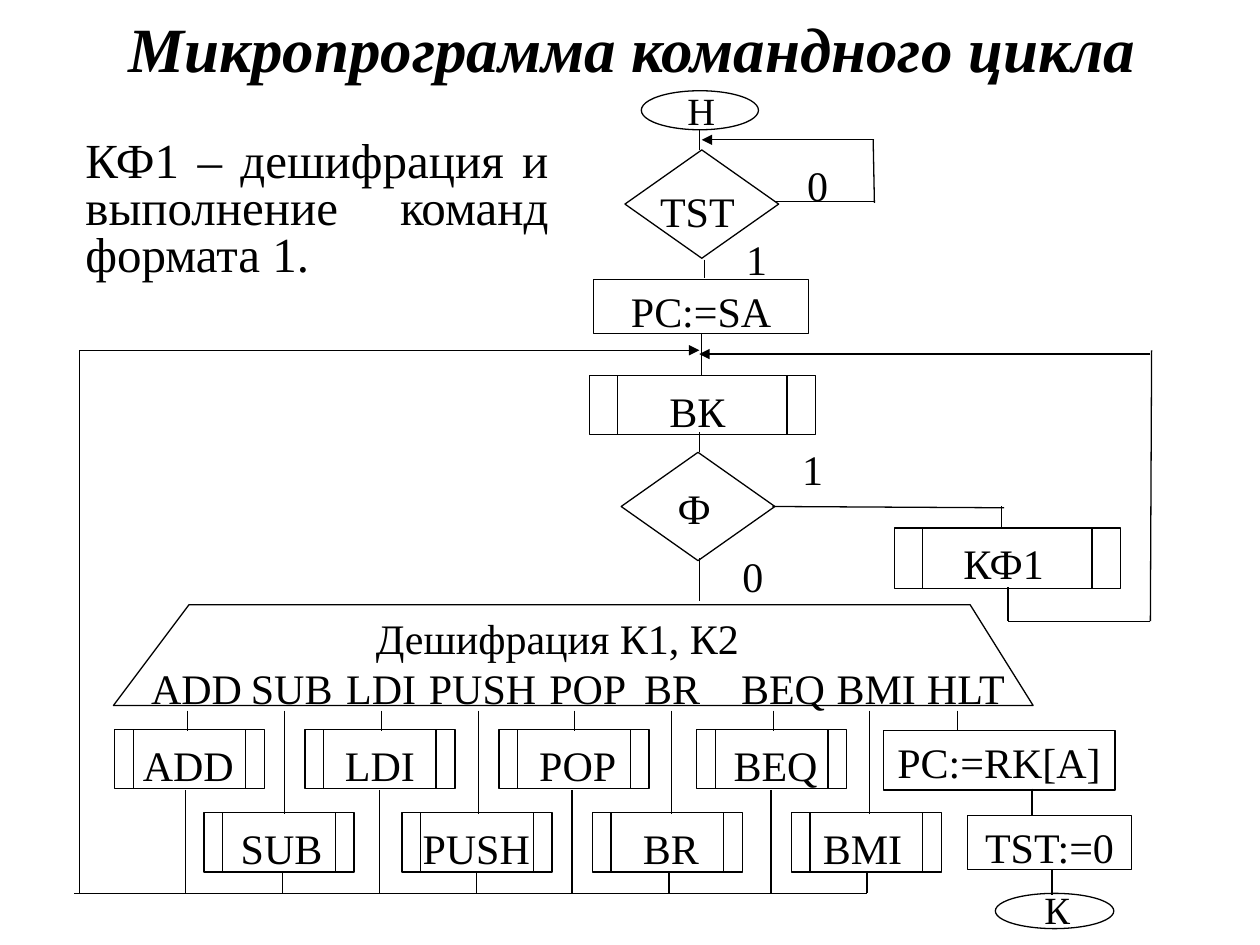
from typing import NamedTuple

from lxml.etree import SubElement
from pptx import Presentation
from pptx.dml.color import RGBColor
from pptx.enum.shapes import MSO_CONNECTOR, MSO_SHAPE
from pptx.enum.text import MSO_ANCHOR, PP_ALIGN
from pptx.oxml.ns import qn
from pptx.util import Inches, Pt

COLS, ROWS = 100, 75
CELL = Inches(0.1)
INK = "000000"
FONT = "Times New Roman"
LABEL_H = 3.8
DECODER_BOTTOM, UPPER, LOWER, BUS = 56.4, 57.9, 64.5, 70.9
PROC_W, PROC_H = 11.9, 4.7


class Node(NamedTuple):
    kind: MSO_SHAPE
    x: float
    y: float
    w: float
    h: float
    text: str = ""


class Label(NamedTuple):
    text: str
    x: float
    y: float
    w: float
    size: int = 24


class Link(NamedTuple):
    x1: float
    y1: float
    x2: float
    y2: float
    arrow: bool = False


class Command(NamedTuple):
    name: str
    port: float
    head_x: float
    head_w: float
    box_x: float
    text_x: float
    text_w: float


NODES = [
    Node(MSO_SHAPE.OVAL, 50.9, 7.2, 9.3, 3.1),
    Node(MSO_SHAPE.DIAMOND, 49.6, 11.9, 12.2, 8.6),
    Node(MSO_SHAPE.RECTANGLE, 47.1, 22.2, 17.1, 4.3, "PC:=SA"),
    Node(MSO_SHAPE.FLOWCHART_PREDEFINED_PROCESS, 46.8, 29.8, 17.9, 4.7),
    Node(MSO_SHAPE.DIAMOND, 49.3, 35.9, 12.2, 8.6),
    Node(MSO_SHAPE.FLOWCHART_PREDEFINED_PROCESS, 71, 41.9, 17.9, 4.8),
    Node(MSO_SHAPE.RECTANGLE, 70.1, 58, 18.4, 4.7, "PC:=RK[A]"),
    Node(MSO_SHAPE.RECTANGLE, 76.8, 64.7, 13, 4.3, "TST:=0"),
    Node(MSO_SHAPE.OVAL, 79, 70.9, 9.4, 2.8),
]

LABELS = [
    Label("Н", 49.4, 6.4, 12.5, 22),
    Label("TST", 49.1, 14.2, 12.5),
    Label("0", 60.5, 12.2, 8.8),
    Label("1", 56.3, 18, 7.5),
    Label("ВК", 49.1, 30.1, 12.5),
    Label("Ф", 48.9, 37.8, 12.4),
    Label("1", 60.1, 34.7, 8.8),
    Label("0", 56, 43.2, 7.5),
    Label("КФ1", 73.4, 42.2, 12.5),
    Label("Дешифрация К1, К2", 27.7, 48.1, 33.1),
    Label("HLT", 72.2, 52.1, 8.9),
    Label("К", 77.7, 69.8, 12.4, 22),
]

LINKS = [
    Link(55.5, 10.3, 55.5, 11.9),
    Link(55.9, 20.6, 55.9, 22.1),
    Link(55.7, 26.5, 55.7, 29.8),
    Link(55.5, 34.3, 55.5, 35.9),
    Link(55.5, 44.3, 55.5, 47.7),
    Link(61.6, 16, 69.4, 16),
    Link(69.3, 11.1, 69.4, 16.1),
    Link(69.4, 11.1, 55.7, 11.1, True),
    Link(5.9, BUS, 68.8, BUS),
    Link(6.3, 27.8, 6.3, BUS),
    Link(6.3, 27.8, 55.5, 27.8, True),
    Link(61.3, 40.2, 79.7, 40.3),
    Link(79.5, 40.2, 79.5, 41.8),
    Link(80, 46.6, 80, 49.3),
    Link(80, 49.3, 91.3, 49.3),
    Link(91.4, 27.8, 91.3, 49.3),
    Link(91.3, 28.1, 55.5, 28.1, True),
    Link(76, DECODER_BOTTOM, 76, 58),
    Link(81.9, 62.6, 81.9, 64.7),
    Link(83.5, 69, 83.5, 71),
]

COMMANDS = [
    Command("ADD", 14.9, 10.9, 9.4, 9.1, 10.1, 9.7),
    Command("SUB", 22.6, 18.4, 9.5, 16.2, 17.3, 10.1),
    Command("LDI", 30.3, 25.5, 9.5, 24.2, 25.4, 9.5),
    Command("PUSH", 38, 33, 10.6, 31.9, 32.3, 11),
    Command("POP", 45.6, 42.2, 8.9, 39.6, 41.4, 8.9),
    Command("BR", 53.3, 48.9, 8.9, 47, 48.8, 8.9),
    Command("BEQ", 61.4, 57.7, 8.9, 55.3, 57.1, 8.9),
    Command("BMI", 69, 65.1, 8.9, 62.8, 64, 8.9),
]

DECODER = [(9.1, 56.3), (14.7, 47.7), (76.7, 47.7), (82.3, 56.3)]


def cells(*values: float) -> list[int]:
    return [round(v * CELL) for v in values]


def rgb(color: str) -> RGBColor:
    return RGBColor.from_string(color)


def write(sp, text: str, size: int, align=PP_ALIGN.CENTER, bold=False, anchor=MSO_ANCHOR.TOP):
    tf = sp.text_frame
    tf.text = text
    tf.word_wrap = True
    tf.vertical_anchor = anchor
    p = tf.paragraphs[0]
    p.alignment = align
    r = p.runs[0]
    r.font.name, r.font.size = FONT, Pt(size)
    r.font.bold = r.font.italic = bold
    r.font.color.rgb = rgb(INK)
    return p


def outline(sp) -> None:
    sp.shadow.inherit = False
    sp.fill.background()
    sp.line.color.rgb = rgb(INK)
    sp.line.width = Pt(0.75)


def draw_node(s, n: Node) -> None:
    sp = s.shapes.add_shape(n.kind, *cells(n.x, n.y, n.w, n.h))
    outline(sp)
    if n.text:
        write(sp, n.text, 24)


def draw_label(s, b: Label) -> None:
    write(s.shapes.add_textbox(*cells(b.x, b.y, b.w, LABEL_H)), b.text, b.size)


def draw_link(s, k: Link) -> None:
    c = s.shapes.add_connector(MSO_CONNECTOR.STRAIGHT, *cells(k.x1, k.y1, k.x2, k.y2))
    c.line.color.rgb = rgb(INK)
    c.line.width = Pt(0.75)
    if k.arrow:
        SubElement(c.line._get_or_add_ln(), qn("a:tailEnd"), type="triangle")
    SubElement(c._element.spPr, qn("a:effectLst"))


def draw_command(s, c: Command, top: float) -> None:
    draw_label(s, Label(c.name, c.head_x, 52.1, c.head_w))
    draw_node(s, Node(MSO_SHAPE.FLOWCHART_PREDEFINED_PROCESS, c.box_x, top, PROC_W, PROC_H))
    draw_label(s, Label(c.name, c.text_x, top + 0.3, c.text_w))
    draw_link(s, Link(c.port, DECODER_BOTTOM, c.port, top + 0.1))
    draw_link(s, Link(c.port - 0.2, top + PROC_H + 0.1, c.port - 0.2, BUS))


def main() -> None:
    prs = Presentation()
    prs.slide_width, prs.slide_height = cells(COLS, ROWS)
    s = prs.slides.add_slide(prs.slide_layouts[6])

    title = s.shapes.add_textbox(*cells(2.7, 0, 94.9, 7.5))
    write(title, "Микропрограмма командного цикла", 36, bold=True, anchor=MSO_ANCHOR.MIDDLE)

    note = s.shapes.add_textbox(*cells(2, 10.7, 42.5, 11.8))
    p = write(note, "КФ1 – дешифрация и выполнение команд формата 1.", 28, PP_ALIGN.JUSTIFY)
    p.line_spacing, p.space_before = 0.8, Pt(7)
    p._p.get_or_add_pPr().set("marL", str(Inches(0.38)))

    fb = s.shapes.build_freeform(*DECODER[0], scale=CELL)
    fb.add_line_segments(DECODER[1:], close=True)
    outline(fb.convert_to_shape())

    for n in NODES:
        draw_node(s, n)
    for i, c in enumerate(COMMANDS):
        draw_command(s, c, LOWER if i % 2 else UPPER)
    for k in LINKS:
        draw_link(s, k)
    for b in LABELS:
        draw_label(s, b)
    prs.save("out.pptx")


if __name__ == "__main__":
    main()
